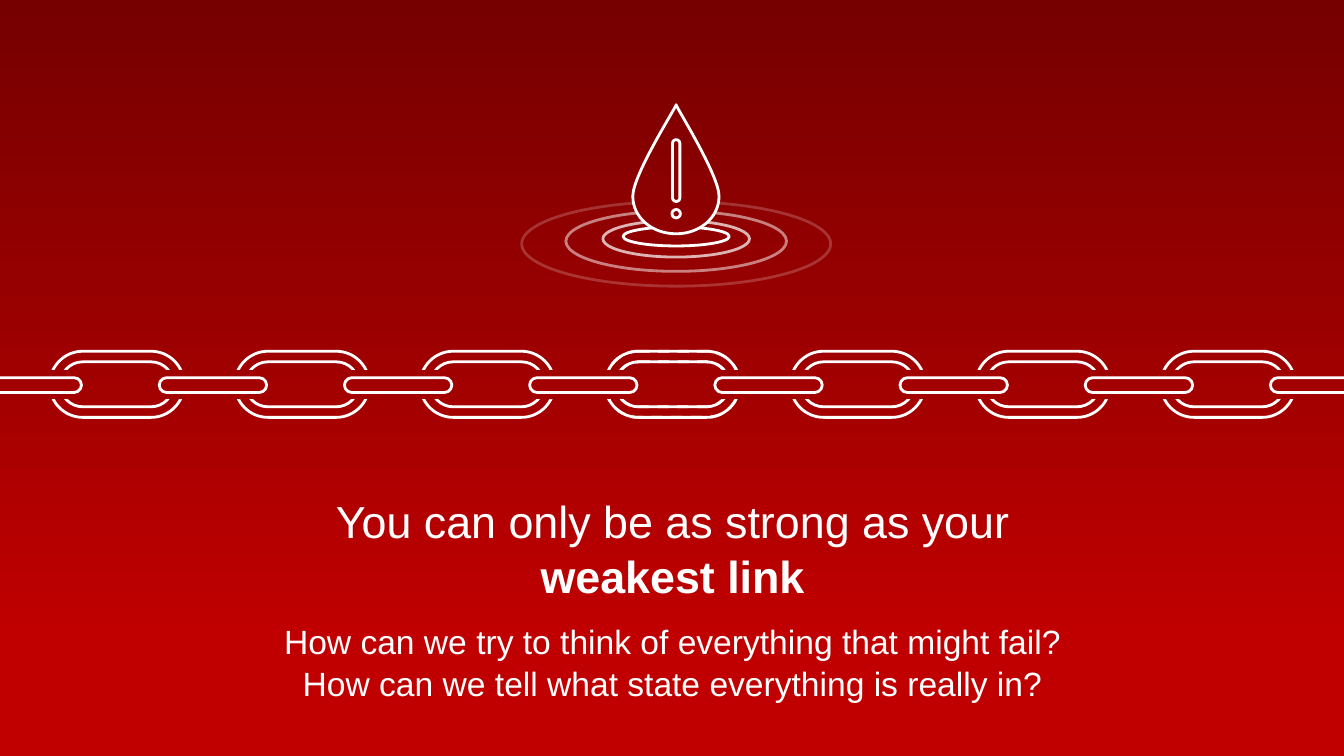
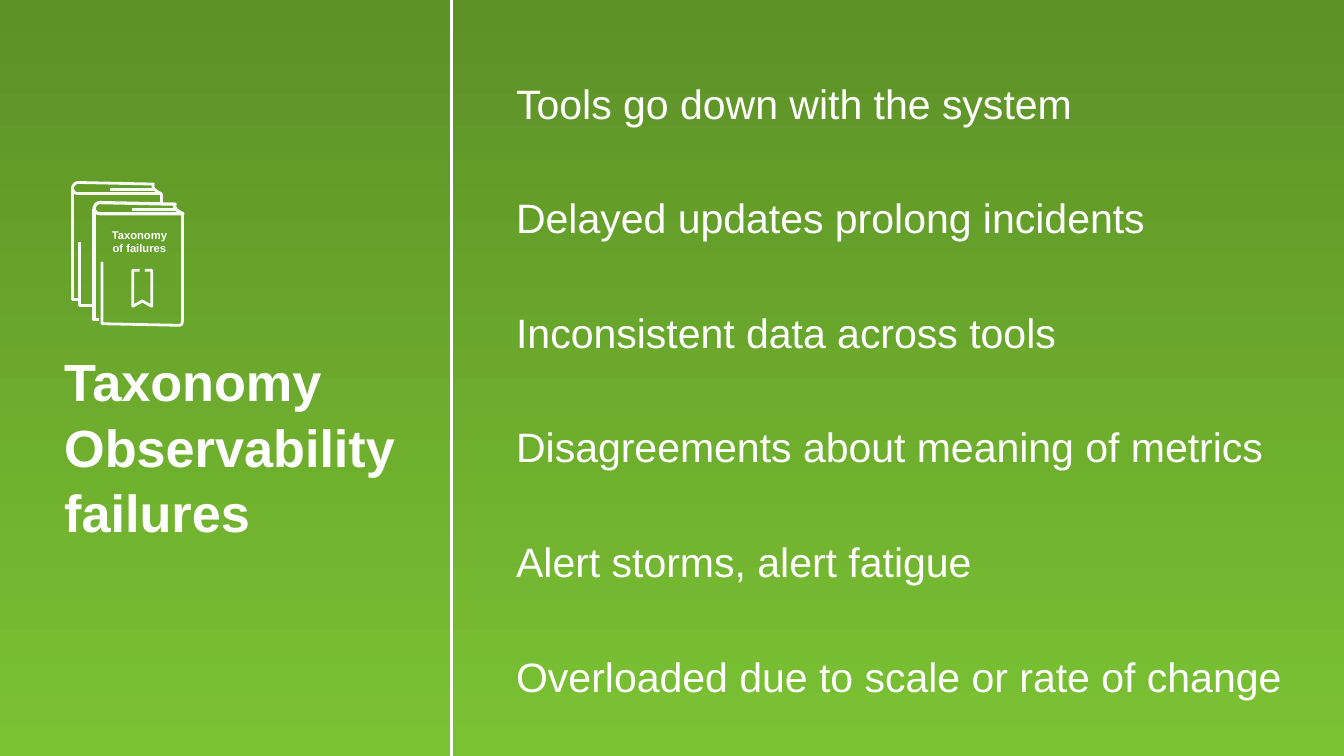
import lxml.etree
import pptx
import pptx.dml.color
import pptx.enum.dml
import pptx.enum.shapes
import pptx.enum.text
import pptx.oxml.ns
import pptx.util

Cm, Pt = pptx.util.Cm, pptx.util.Pt
qn = pptx.oxml.ns.qn
PRESET = pptx.enum.shapes.MSO_SHAPE
ALIGN = pptx.enum.text.PP_ALIGN
WHITE, CHALK = "FFFFFF", "F8F8F8"


def paint(colour, hex_code):
    colour.rgb = pptx.dml.color.RGBColor.from_string(hex_code)


def draw(shapes, contours=(), preset=None, box=(), width=1.5, colour=WHITE, covers=False):
    """Add a preset in a box, or contours of points (x, y) and Bezier curves (six numbers), in cm.

    A shape that covers takes the slide background as its fill; width 0 means no line.
    """
    if preset is not None:
        shape = shapes.add_shape(preset, *map(Cm, box))
    else:
        builder = None
        for contour in contours:
            first, *others = [tuple(map(Cm, step[-2:])) for step in contour]
            if builder is None:
                builder = shapes.build_freeform(*first)
            else:
                builder.move_to(*first)
            builder.add_line_segments(others, close=first == others[-1])
        shape = builder.convert_to_shape()
        steps = [step for contour in contours for step in contour[1:]]
        for segment, step in zip(list(shape.element.iter(qn("a:lnTo"))), steps):
            if len(step) == 6:
                curve = lxml.etree.Element(qn("a:cubicBezTo"))
                for x, y in zip(step[::2], step[1::2]):
                    lxml.etree.SubElement(curve, qn("a:pt"), x=str(Cm(x) - shape.left),
                                          y=str(Cm(y) - shape.top))
                segment.getparent().replace(segment, curve)
    shape.shadow.inherit = False
    if covers:
        shape.element.set("useBgFill", "1")
    else:
        shape.fill.background()
    if width:
        paint(shape.line.color, colour)
        shape.line.width = Pt(width)
    else:
        shape.line.fill.background()
    return shape


deck = pptx.Presentation()
deck.slide_width, deck.slide_height = Cm(25.4), Cm(14.29)

# Slides and their gradient backgrounds
slides = []
for gradient in ([(0, "760000"), (0.85, "C00000")], [(0, "5C9126"), (1, "7BC233")]):
    slide = deck.slides.add_slide(deck.slide_layouts[1])
    backdrop = slide.background.fill
    backdrop.gradient()
    backdrop.gradient_angle = 270
    for stop, (position, hex_code) in zip(backdrop.gradient_stops, gradient):
        stop.position = position
        paint(stop.color, hex_code)
    slides.append(slide)
weakest_link, taxonomy = slides

# Ripples, from the faint outer one to the solid inner one
DROP_X = 12.78
for top, ripple_width, ripple_height, opacity in [
    (3.81, 5.84, 1.6, 20),
    (3.99, 4.17, 1.14, 50),
    (4.17, 2.77, 0.69, 70),
    (4.29, 2.01, 0.36, 100),
]:
    ripple = draw(weakest_link.shapes, preset=PRESET.OVAL,
                  box=(DROP_X - ripple_width / 2, top, ripple_width, ripple_height))
    if opacity < 100:
        for tint in ripple.element.iter(qn("a:srgbClr")):
            lxml.etree.SubElement(tint, qn("a:alpha"), val=str(opacity * 1000))

# Drop with an exclamation mark
drop = weakest_link.shapes.add_group_shape().shapes
draw(drop, [[
    (11.96, 3.71),
    (11.96, 3.3, 12.8, 1.99, DROP_X, 1.98),
    (12.75, 1.98, 13.59, 3.3, 13.59, 3.71),
    (13.59, 4.11, 13.23, 4.42, DROP_X, 4.42),
    (12.32, 4.42, 11.96, 4.11, 11.96, 3.71),
]], covers=True)
draw(drop, preset=PRESET.OVAL, box=(DROP_X - 0.08, 3.96, 0.16, 0.16))
stroke = draw(drop, preset=PRESET.ROUNDED_RECTANGLE, box=(DROP_X - 0.07, 2.64, 0.14, 1.17))
stroke.adjustments[0] = 0.5

# Chain: the middle link is drawn once more with dashes, then the rods cover the links
LINK_PITCH, LINK_TOP, LINK_WIDTH, LINK_HEIGHT = 3.5, 6.64, 2.54, 1.25
for index in [*range(7), 3]:
    rims = []
    for inset in (0, 0.2):
        left = 0.94 + index * LINK_PITCH + inset
        right = left + LINK_WIDTH - 2 * inset
        top, bottom = LINK_TOP + inset, LINK_TOP + LINK_HEIGHT - inset
        r = (bottom - top) / 2
        k = 0.45 * r
        rims.append([
            (left + r, top),
            (right - r, top),
            (right - k, top, right, top + k, right, top + r),
            (right, bottom - k, right - k, bottom, right - r, bottom),
            (left + r, bottom),
            (left + k, bottom, left, bottom - k, left, top + r),
            (left, top + k, left + k, top, left + r, top),
        ])
    link = draw(weakest_link.shapes, rims)
link.line.dash_style = pptx.enum.dml.MSO_LINE.DASH

for index in range(8):
    shift = index * LINK_PITCH
    draw(weakest_link.shapes, preset=PRESET.RECTANGLE, box=(shift - 0.55, 7.01, 2.36, 0.53),
         width=0, covers=True)
    rod = draw(weakest_link.shapes, preset=PRESET.ROUNDED_RECTANGLE,
               box=(shift - 0.49, 7.14, 2.03, 0.28), covers=True)
    rod.adjustments[0] = 0.5

# Two books
books = taxonomy.shapes.add_group_shape().shapes
for dx, dy, cover_width in [(0, 0, 1.5), (0.41, 0.38, 1.75)]:
    for width, part in [
        (cover_width, [
            (3.05, 3.66), (1.5, 3.66), (1.42, 3.66, 1.37, 3.63, 1.37, 3.58), (1.37, 3.56),
            (1.37, 3.51, 1.42, 3.45, 1.47, 3.45), (2.9, 3.48),
            (2.9, 3.48, 2.87, 3.53, 2.92, 3.58), (2.97, 3.63, 3.05, 3.66, 3.05, 3.66),
        ]),
        (cover_width, [(1.37, 3.58), (1.37, 5.66), (1.47, 5.66)]),
        (1.5, [(2.08, 3.58), (2.92, 3.58)]),
    ]:
        moved = [tuple(v + (dx, dy)[n % 2] for n, v in enumerate(step)) for step in part]
        draw(books, [moved], width=width, colour=CHALK)
for width, part in [
    (1.5, [(1.5, 4.57), (1.5, 5.77), (1.78, 5.77)]),
    (1.5, [(1.93, 4.95), (1.93, 6.12), (3.4, 6.15),
           (3.43, 6.15, 3.45, 6.12, 3.45, 6.07), (3.45, 4.01)]),
    (1.75, [(3.05, 3.66), (3.05, 3.84)]),
    (1.5, [(2.64, 5.11), (2.51, 5.11), (2.51, 5.79), (2.69, 5.69),
           (2.87, 5.79), (2.87, 5.11), (2.74, 5.11)]),
]:
    draw(books, [part], width=width, colour=CHALK)
label_box = (1.85, 4.19, 1.57, 0.76)
book_label = books.add_textbox(*map(Cm, label_box))
book_label.text_frame.margin_left = book_label.text_frame.margin_right = Cm(0.2)

# Frame around the list, of which the left edge shows
draw(taxonomy.shapes, preset=PRESET.RECTANGLE, box=(8.53, -0.28, 17.35, 15.27), width=1.75)

# Texts: place, box, lines, size, bold, alignment, space after each line
for place, box, lines, size, bold, alignment, gap in [
    (weakest_link.shapes.title, (1.62, 9.2, 22.18, 2.3),
     ["You can only be as strong as your", "weakest link"], 24, False, ALIGN.CENTER, 1),
    (weakest_link.placeholders[1], (1.62, 11.61, 22.18, 1.8),
     ["How can we try to think of everything that might fail?",
      "How can we tell what state everything is really in?"], 18, False, ALIGN.CENTER, 1),
    (taxonomy.shapes.title, (0.96, 6.48, 6.9, 3.83),
     ["Taxonomy", "Observability", "failures"], 28, True, ALIGN.LEFT, 1.5),
    (taxonomy.placeholders[1], (9.5, 1.35, 15.6, 11.84),
     ["Tools go down with the system",
      "Delayed updates prolong incidents",
      "Inconsistent data across tools",
      "Disagreements about meaning of metrics",
      "Alert storms, alert fatigue",
      "Overloaded due to scale or rate of change"], 22, False, ALIGN.LEFT, 35),
    (book_label, label_box, ["Taxonomy of failures"], 6, True, ALIGN.CENTER, 0),
]:
    for side, length in zip(("left", "top", "width", "height"), box):
        setattr(place, side, Cm(length))
    frame = place.text_frame
    frame.text = "\n".join(lines)
    frame_format = {"word_wrap": True, "auto_size": pptx.enum.text.MSO_AUTO_SIZE.NONE,
                    "vertical_anchor": pptx.enum.text.MSO_ANCHOR.TOP}
    line_format = {"alignment": alignment, "line_spacing": 1.0,
                   "space_before": Pt(0), "space_after": Pt(gap)}
    font_format = {"name": "Arial", "size": Pt(size), "bold": bold}
    for name, value in frame_format.items():
        setattr(frame, name, value)
    for line in frame.paragraphs:
        for name, value in line_format.items():
            setattr(line, name, value)
        properties = line._p.get_or_add_pPr()
        properties.set("marL", "0")
        properties.set("indent", "0")
        lxml.etree.SubElement(properties, qn("a:buNone"))
        font = line.runs[0].font
        for name, value in font_format.items():
            setattr(font, name, value)
        paint(font.color, WHITE)
weakest_link.shapes.title.text_frame.paragraphs[1].runs[0].font.bold = True

deck.save("out.pptx")
